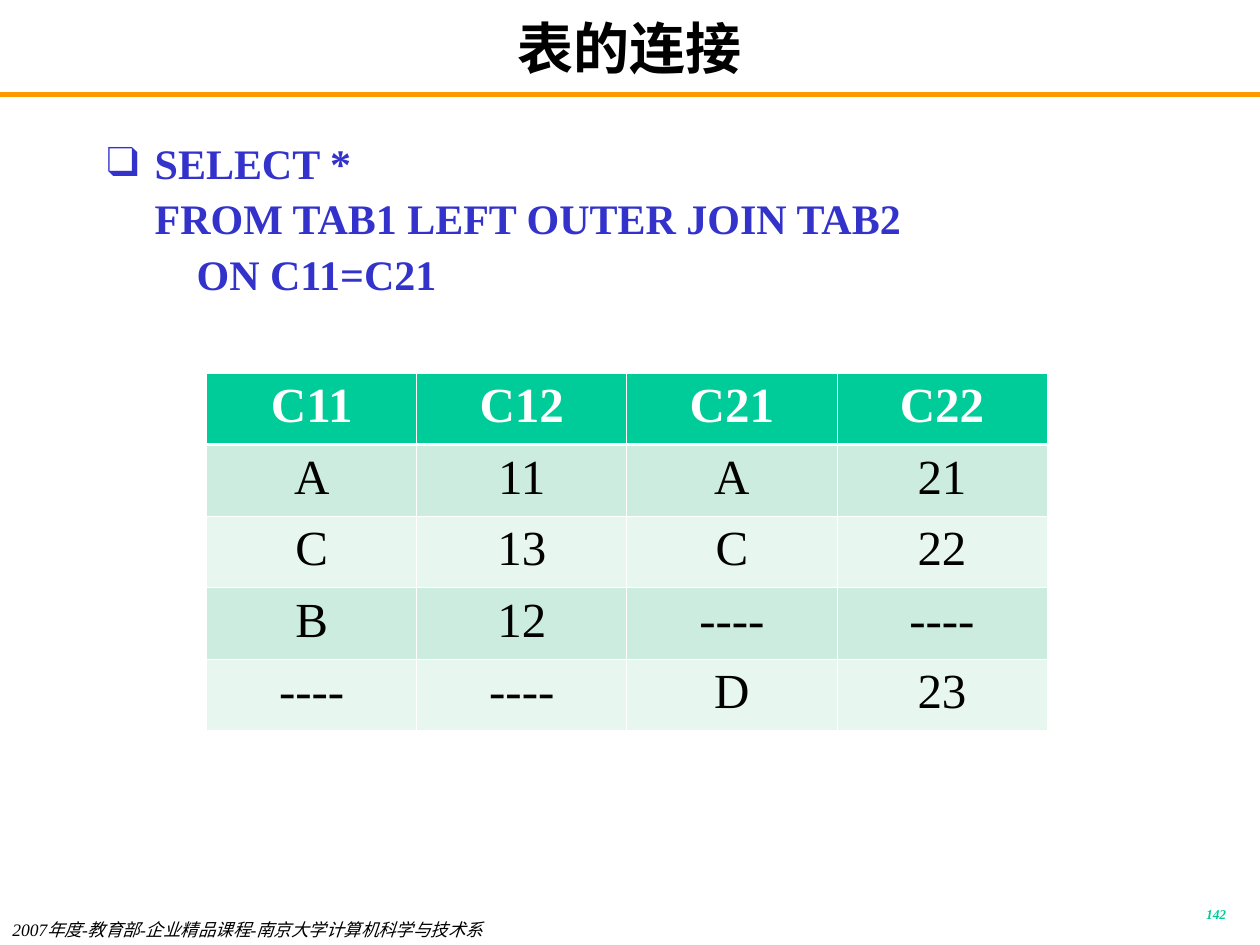
from dataclasses import dataclass

import pptx
import pptx.dml.color
import pptx.enum.shapes
import pptx.enum.text
import pptx.oxml.ns
import pptx.util
from lxml import etree

Inches = pptx.util.Inches
Pt = pptx.util.Pt
RGB = pptx.dml.color.RGBColor.from_string
ALIGN = pptx.enum.text.PP_ALIGN
ANCHOR = pptx.enum.text.MSO_ANCHOR
qn = pptx.oxml.ns.qn


@dataclass(frozen=True)
class Theme:
    font: str = "Times New Roman"
    ink: str = "000000"
    white: str = "FFFFFF"
    code: str = "3333CC"
    rule: str = "FF9900"
    accent: str = "00CC99"
    bands: tuple = ("CBECDE", "E7F6EF")
    title_size: float = 32
    code_size: float = 24
    table_size: float = 28
    footer_size: float = 10
    number_size: float = 7.7


def write_text(frame, text, *, font, size, color, bold=False, italic=False,
               align=ALIGN.LEFT, line_spacing=None, bullet=None, hang=0):
    """Fill the first paragraph; newlines become line breaks."""
    paragraph = frame.paragraphs[0]
    paragraph.text = text
    paragraph.alignment = align
    if bullet:
        props = paragraph._p.get_or_add_pPr()
        props.set("marL", str(Inches(hang)))
        props.set("indent", str(-Inches(hang)))
        bullet_color = etree.SubElement(props, qn("a:buClr"))
        etree.SubElement(bullet_color, qn("a:srgbClr"), val=color)
        etree.SubElement(props, qn("a:buFont"), typeface=font)
        etree.SubElement(props, qn("a:buChar"), char=bullet)
    if line_spacing:
        paragraph.line_spacing = line_spacing
    for run in paragraph.runs:
        run.font.name = font
        run.font.size = Pt(size)
        run.font.bold = bold
        run.font.italic = italic
        run.font.color.rgb = RGB(color)


class SlideBuilder:
    def __init__(self, slide, theme):
        self.slide = slide
        self.theme = theme

    def rule(self, y, width, color, weight):
        line = self.slide.shapes.add_connector(
            pptx.enum.shapes.MSO_CONNECTOR.STRAIGHT,
            Inches(0), Inches(y), Inches(width), Inches(y))
        line.line.color.rgb = RGB(color)
        line.line.width = Pt(weight)
        etree.SubElement(line._element.spPr, qn("a:effectLst"))

    def text(self, box, text, anchor=ANCHOR.TOP, inset=0.05, **style):
        frame = self.slide.shapes.add_textbox(*map(Inches, box)).text_frame
        frame.word_wrap = True
        frame.vertical_anchor = anchor
        frame.margin_top = frame.margin_bottom = Inches(inset)
        write_text(frame, text, font=self.theme.font, **style)

    def border(self, cell, **weights):
        props = cell._tc.get_or_add_tcPr()
        for side, weight in weights.items():
            edge = etree.SubElement(props, qn(f"a:ln{side}"), w=str(Pt(weight)))
            fill = etree.SubElement(edge, qn("a:solidFill"))
            etree.SubElement(fill, qn("a:srgbClr"), val=self.theme.white)

    def table(self, box, rows, thin=0.45, thick=1.47):
        theme = self.theme
        table = self.slide.shapes.add_table(
            len(rows), len(rows[0]), *map(Inches, box)).table
        table.horz_banding = False
        for r, values in enumerate(rows):
            header = r == 0
            fill = theme.accent if header else theme.bands[(r - 1) % 2]
            for c, value in enumerate(values):
                cell = table.cell(r, c)
                self.border(cell, L=thin, R=thin, T=thick if r == 1 else thin,
                            B=thick if header else thin)
                cell.fill.solid()
                cell.fill.fore_color.rgb = RGB(fill)
                write_text(cell.text_frame, value, font=theme.font,
                           size=theme.table_size, bold=header, align=ALIGN.CENTER,
                           color=theme.white if header else theme.ink)


def main():
    theme = Theme()
    deck = pptx.Presentation()
    deck.slide_width, deck.slide_height = Inches(10), Inches(7.5)
    page = SlideBuilder(deck.slides.add_slide(deck.slide_layouts[6]), theme)

    # Title and rule
    page.rule(0.75, 10, theme.rule, 3)
    page.text((0.75, 0.08, 8.5, 0.58), "表的连接", anchor=ANCHOR.MIDDLE,
              size=theme.title_size, color=theme.ink, bold=True, align=ALIGN.CENTER)

    # Query
    page.text((0.75, 1, 8.5, 5.92),
              "SELECT *\nFROM TAB1 LEFT OUTER JOIN TAB2\n    ON C11=C21",
              size=theme.code_size, color=theme.code, bold=True,
              line_spacing=1.1, bullet="❑", hang=0.38)

    # Footer and page number
    page.text((0, 7.29, 6.26, 0.21),
              "2007年度-教育部-企业精品课程-南京大学计算机科学与技术系",
              inset=0, size=theme.footer_size, color=theme.ink, italic=True)
    page.text((7.75, 7.17, 2.08, 0.25), "142", size=theme.number_size,
              color=theme.accent, bold=True, italic=True,
              align=ALIGN.RIGHT, line_spacing=0.8)

    # Join result
    page.table((1.64, 2.96, 6.67, 2.83), [
        ("C11", "C12", "C21", "C22"),
        ("A", "11", "A", "21"),
        ("C", "13", "C", "22"),
        ("B", "12", "----", "----"),
        ("----", "----", "D", "23"),
    ])

    deck.save("out.pptx")


if __name__ == "__main__":
    main()
